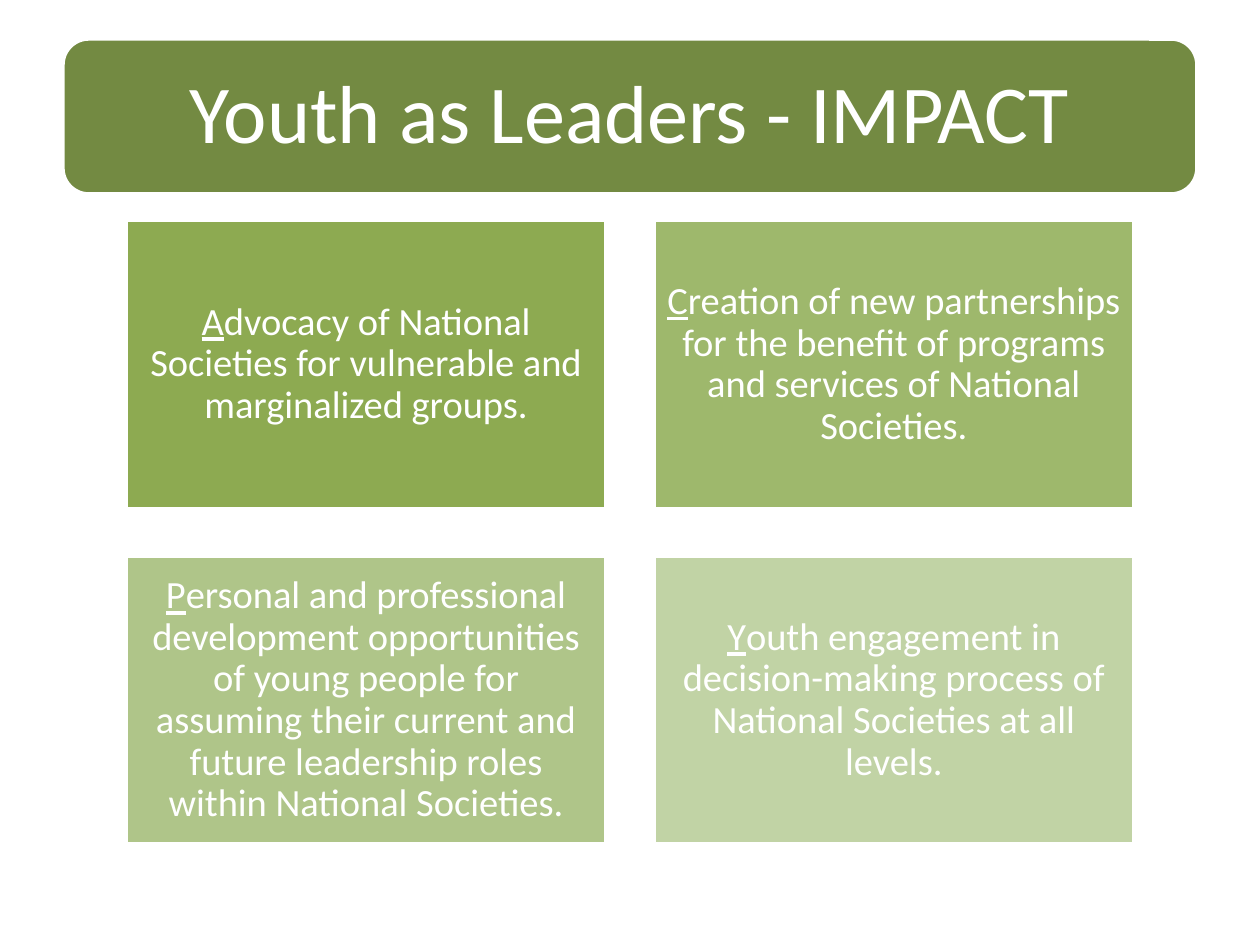
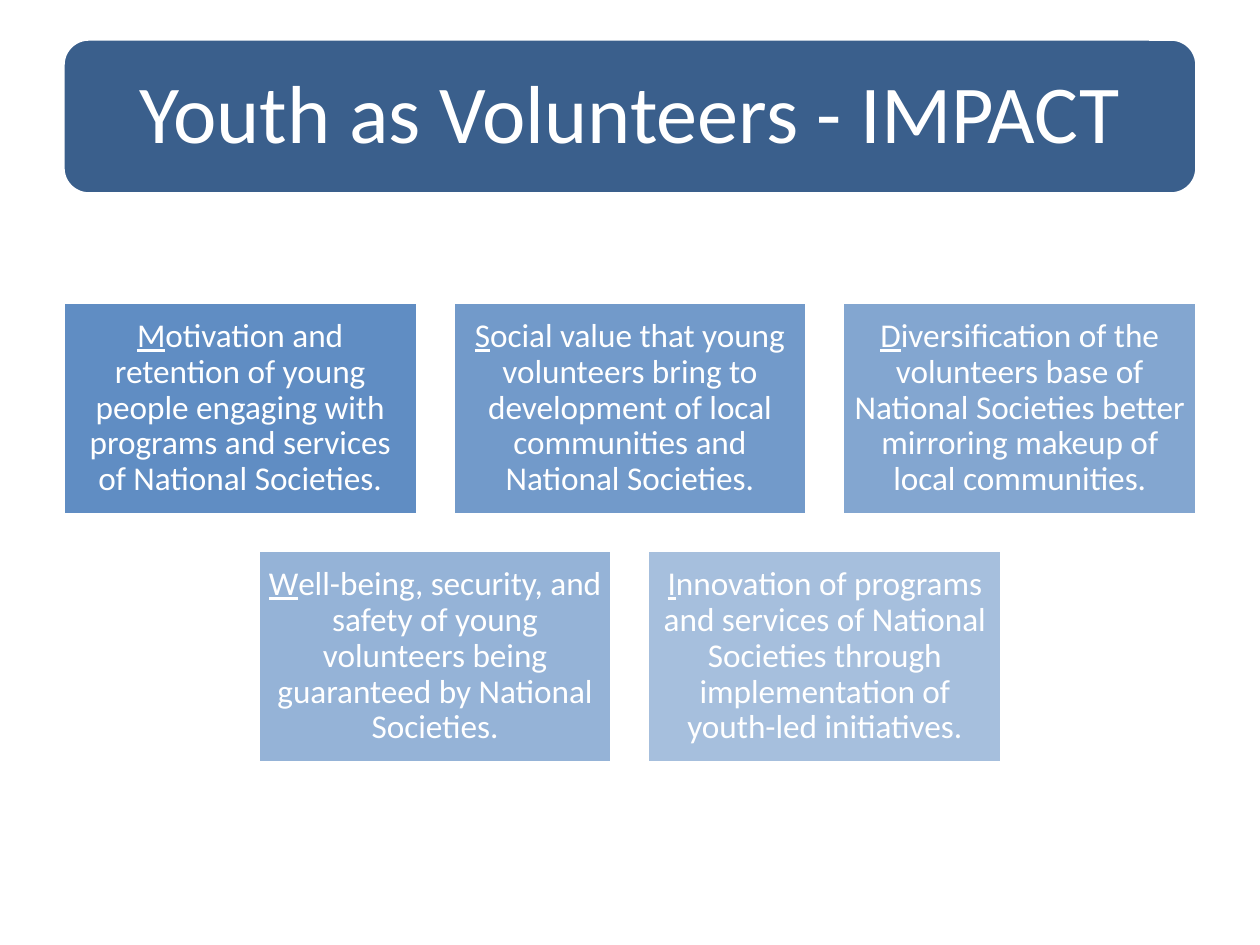
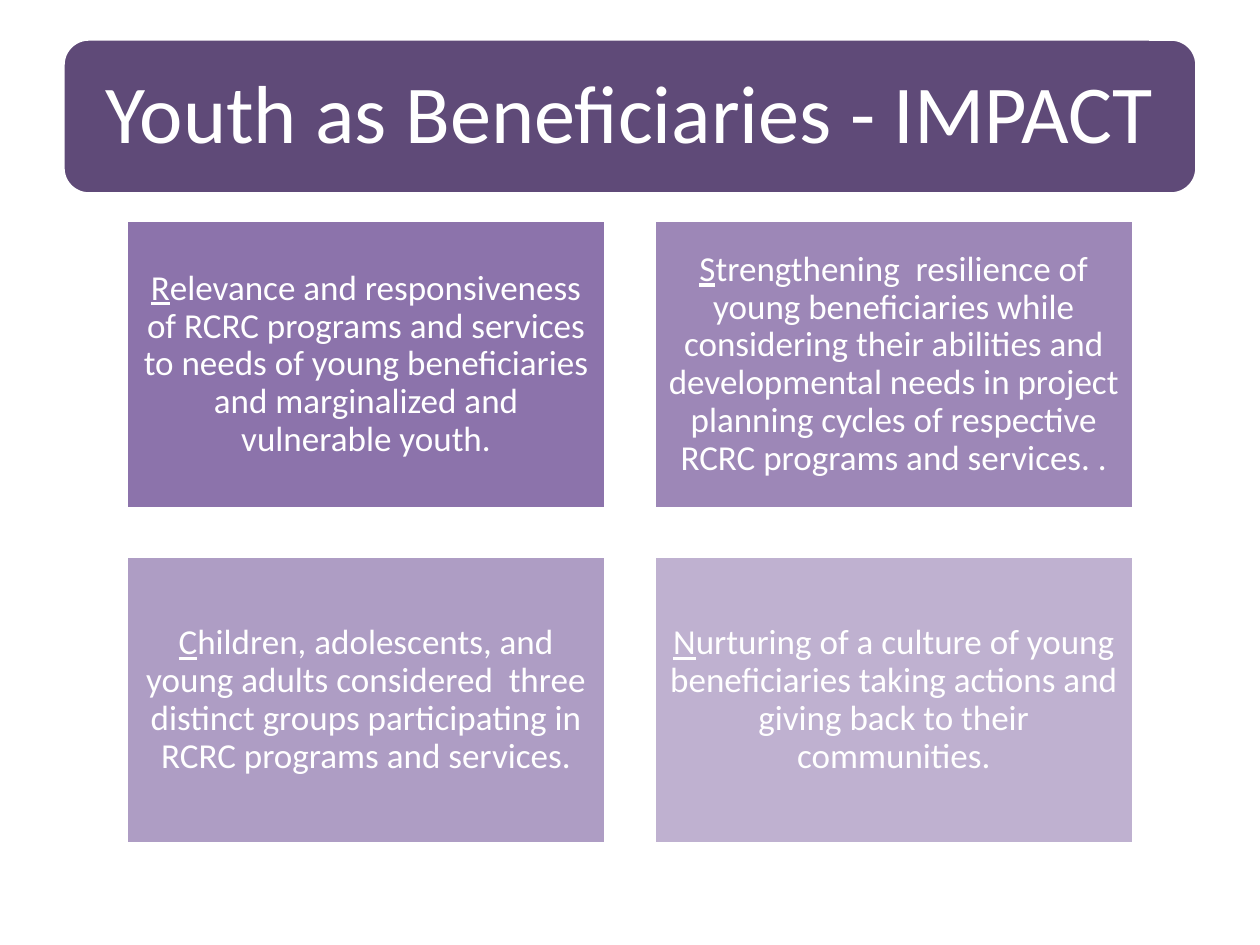
from dataclasses import dataclass
from typing import NamedTuple

from lxml import etree
from pptx import Presentation
from pptx.dml.color import RGBColor
from pptx.enum.shapes import MSO_SHAPE
from pptx.enum.text import MSO_ANCHOR, MSO_AUTO_SIZE, PP_ALIGN
from pptx.oxml.ns import qn
from pptx.util import Inches, Pt

RECT, ROUNDED = MSO_SHAPE.RECTANGLE, MSO_SHAPE.ROUNDED_RECTANGLE
CENTER, MIDDLE, NO_FIT = PP_ALIGN.CENTER, MSO_ANCHOR.MIDDLE, MSO_AUTO_SIZE.NONE
TITLE_ONLY = 5

# Slide grid: 100 columns by 75 rows
WIDTH, HEIGHT = Inches(10), Inches(7.5)
COL, ROW = WIDTH / 100, HEIGHT / 75


@dataclass(frozen=True)
class Theme:
    font: str = "Calibri"
    white: str = "FFFFFF"
    green: str = "738A42"
    navy: str = "3A5F8C"
    plum: str = "5F4A78"
    blue: str = "4F81BD"
    purple: str = "8064A2"
    greens: tuple = ("8DAA51", "9EB86C", "AFC589", "C1D3A5")
    title_size: int = 47
    outline: int = 2
    line_spacing: float = 0.9
    margin: float = 0.3  # text margin as a share of the type size


class Box(NamedTuple):
    x: float
    y: float
    w: float
    h: float

    def emu(self):
        return [round(v) for v in (self.x * COL, self.y * ROW, self.w * COL, self.h * ROW)]

    def inset(self, d):
        return Box(self.x + d, self.y + d, self.w - 2 * d, self.h - 2 * d)


THEME = Theme()
BAND = Box(5, 3.1, 90, 12.3)
CARDS = Box(5, 17.5, 90, 49.5)
CARD_RATIO, CARD_GAP = 0.6, 0.1  # height and gap as shares of the card width


def write(sp, text, *, size, underline_first=False):
    """Set centred white text, with the initial underlined on request."""
    tf = sp.text_frame
    tf.word_wrap, tf.auto_size, tf.vertical_anchor = True, NO_FIT, MIDDLE
    margin = Pt(size * THEME.margin)
    tf.margin_left = tf.margin_right = tf.margin_top = tf.margin_bottom = margin
    p = tf.paragraphs[0]
    p.alignment, p.line_spacing = CENTER, THEME.line_spacing
    parts = [(text[0], True), (text[1:], False)] if underline_first else [(text, False)]
    for part, underline in parts:
        r = p.add_run()
        r.text = part
        r.font.name, r.font.size, r.font.underline = THEME.font, Pt(size), underline
        r.font.color.rgb = RGBColor.from_string(THEME.white)


def add_panel(s, kind, box, color, opacity=100):
    """Add a filled shape with the shared white outline."""
    sp = s.shapes.add_shape(kind, *box.emu())
    sp.shadow.inherit = False
    sp.fill.solid()
    sp.fill.fore_color.rgb = RGBColor.from_string(color)
    sp.line.color.rgb = RGBColor.from_string(THEME.white)
    sp.line.width = Pt(THEME.outline)
    if opacity < 100:
        clr = sp._element.spPr.find(qn("a:solidFill"))[0]
        etree.SubElement(clr, qn("a:alpha")).set("val", str(round(opacity * 1000)))
    return sp


def add_title_band(s, box, text, color):
    """Place the title over a rounded band."""
    title = s.shapes.title
    band = add_panel(s, ROUNDED, box, color)
    title._element.addprevious(band._element)
    title.left, title.top, title.width, title.height = box.inset(0.6).emu()
    write(title, text, size=THEME.title_size)


def card_boxes(box, count, cols):
    """Yield the largest cards that fit the box, with every row centred."""
    rows = -(-count // cols)
    w = min(box.w / (cols + CARD_GAP * (cols - 1)),
            box.h / (CARD_RATIO * rows + CARD_GAP * (rows - 1)))
    h, gap = w * CARD_RATIO, w * CARD_GAP
    top = box.y + (box.h - rows * h - (rows - 1) * gap) / 2
    for i in range(count):
        row, col = divmod(i, cols)
        n = min(cols, count - row * cols)
        left = box.x + (box.w - n * w - (n - 1) * gap) / 2
        yield Box(left + col * (w + gap), top + row * (h + gap), w, h)


def add_cards(s, box, texts, fills, *, cols, size):
    for text, fill, card in zip(texts, fills, card_boxes(box, len(texts), cols)):
        write(add_panel(s, RECT, card, *fill), text, size=size, underline_first=True)


def fade(color, count, first=90, last=50):
    """Return one colour in even steps of opacity."""
    return [(color, first + (last - first) * i / (count - 1)) for i in range(count)]


def add_impact_slide(prs, title, band_color, texts, fills, *, cols, size):
    s = prs.slides.add_slide(prs.slide_layouts[TITLE_ONLY])
    add_title_band(s, BAND, title, band_color)
    add_cards(s, CARDS, texts, fills, cols=cols, size=size)


LEADERS = [
    "Advocacy of National Societies for vulnerable and marginalized groups.",
    "Creation of new partnerships for the benefit of programs and services of "
    "National Societies.",
    "Personal and professional development opportunities of young people for assuming "
    "their current and future leadership roles within National Societies.",
    "Youth engagement in decision-making process of National Societies at all levels.",
]
VOLUNTEERS = [
    "Motivation and retention of young people engaging with programs and services of "
    "National Societies.",
    "Social value that young volunteers bring to development of local communities and "
    "National Societies.",
    "Diversification of the volunteers base of National Societies better mirroring "
    "makeup of local communities.",
    "Well-being, security, and safety of young volunteers being guaranteed by "
    "National Societies.",
    "Innovation of programs and services of National Societies through implementation "
    "of youth-led initiatives.",
]
BENEFICIARIES = [
    "Relevance and responsiveness of RCRC programs and services to needs of young "
    "beneficiaries and marginalized and vulnerable youth.",
    "Strengthening  resilience of young beneficiaries while considering their abilities "
    "and developmental needs in project planning cycles of respective RCRC programs "
    "and services. .",
    "Children, adolescents, and young adults considered  three distinct groups "
    "participating in RCRC programs and services.",
    "Nurturing of a culture of young beneficiaries taking actions and giving back to "
    "their communities.",
]


def main():
    prs = Presentation()
    prs.slide_width, prs.slide_height = WIDTH, HEIGHT
    add_impact_slide(prs, "Youth as Leaders - IMPACT", THEME.green, LEADERS,
                     [(c,) for c in THEME.greens], cols=2, size=22)
    add_impact_slide(prs, "Youth as Volunteers - IMPACT", THEME.navy, VOLUNTEERS,
                     fade(THEME.blue, len(VOLUNTEERS)), cols=3, size=19)
    add_impact_slide(prs, "Youth as Beneficiaries - IMPACT", THEME.plum, BENEFICIARIES,
                     fade(THEME.purple, len(BENEFICIARIES)), cols=2, size=20)
    prs.save("out.pptx")


if __name__ == "__main__":
    main()
